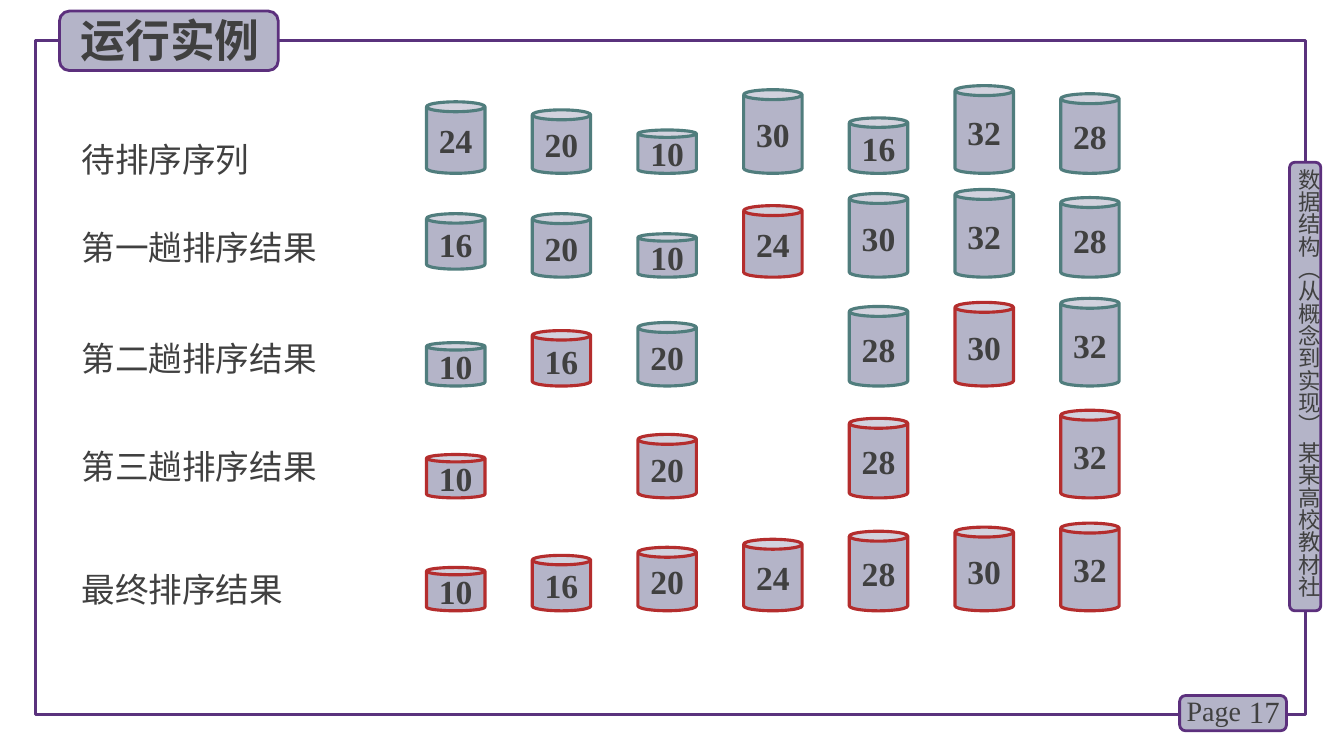
"""Build the slide that shows quicksort passes as rows of cylinders."""
import lxml.etree
import pptx
import pptx.dml.color
import pptx.enum.shapes
import pptx.enum.text
import pptx.oxml.ns
import pptx.util

Inches = pptx.util.Inches
SHAPES = pptx.enum.shapes.MSO_SHAPE
ALIGN = pptx.enum.text.PP_ALIGN
CJK_FONT = "Noto Sans CJK SC"
LATIN_FONT = "Times New Roman"
LILAC, PURPLE, FRAME_PURPLE = "B4B4C8", "5C307D", "5A327D"
TEAL, RED, GREY = "507D7D", "B42D2D", "404040"

deck = pptx.Presentation()
deck.slide_width, deck.slide_height = Inches(13.33), Inches(7.5)
page = deck.slides.add_slide(deck.slide_layouts[6])


def add_outlined(kind, place, line, fill=LILAC, weight=2):
    shape = page.shapes.add_shape(kind, *map(Inches, place))
    shape.shadow.inherit = False
    if fill:
        shape.fill.solid()
        shape.fill.fore_color.rgb = pptx.dml.color.RGBColor.from_string(fill)
    else:
        shape.fill.background()
    shape.line.color.rgb = pptx.dml.color.RGBColor.from_string(line)
    shape.line.width = pptx.util.Pt(weight)
    return shape


def write(text, place=None, box=None, size=24, font=CJK_FONT, bold=False,
          align=ALIGN.LEFT, wrap=True):
    box = box or page.shapes.add_textbox(*map(Inches, place))
    frame = box.text_frame
    frame.word_wrap = wrap
    frame.vertical_anchor = pptx.enum.text.MSO_ANCHOR.MIDDLE
    para = frame.paragraphs[0]
    para.alignment = align
    span = para.add_run()
    span.text = text
    span.font.size = pptx.util.Pt(size)
    span.font.bold = bold
    span.font.name = font
    span.font.color.rgb = pptx.dml.color.RGBColor.from_string(GREY)
    east_asian = lxml.etree.SubElement(span.font._element, pptx.oxml.ns.qn("a:ea"))
    east_asian.set("typeface", CJK_FONT)
    return box


add_outlined(SHAPES.RECTANGLE, (0.35, 0.4, 12.6, 6.69), FRAME_PURPLE, fill=None, weight=2.25)
for tab_place in [(12.79, 1.61, 0.31, 4.45), (11.7, 6.9, 1.06, 0.35), (0.59, 0.11, 2.17, 0.59)]:
    add_outlined(SHAPES.ROUNDED_RECTANGLE, tab_place, PURPLE)

side = write("数据结构（从概念到实现） 某某高校教材社", (12.85, 1.67, 0.27, 4.49), size=16)
side_frame = side.text_frame
side_frame.vertical_anchor = pptx.enum.text.MSO_ANCHOR.TOP
side_frame.margin_left = side_frame.margin_right = 0
side_frame.margin_top = side_frame.margin_bottom = 0
side.element.txBody.bodyPr.set("vert", "eaVert")

write("17", (12.2, 6.86, 0.59, 0.4), size=22, font=LATIN_FONT, align=ALIGN.RIGHT)
write("Page", (11.67, 6.83, 0.78, 0.44), size=20, font=LATIN_FONT)
write("运行实例", (0.7, 0.07, 2.12, 0.64), size=32, bold=True)

everything = {10, 16, 20, 24, 28, 30, 32}
passes = [
    ("待排序序列", 1.33, 2.06, 1.72, [24, 20, 10, 30, 16, 32, 28], set()),
    ("第一趟排序结果", 2.2, 2.75, 2.75, [16, 20, 10, 24, 30, 32, 28], {24}),
    ("第二趟排序结果", 3.3, 2.75, 3.83, [10, 16, 20, None, 28, 30, 32], {16, 30}),
    ("第三趟排序结果", 4.37, 2.93, 4.94, [10, None, 20, None, 28, None, 32], everything),
    ("最终排序结果", 5.59, 2.93, 6.06, [10, 16, 20, 24, 28, 30, 32], everything),
]
raised = {("第一趟排序结果", 16): 0.08}
first_left, last_left = 4.23, 10.52
column_step = (last_left - first_left) / 6

for label, label_top, label_width, baseline, values, settled in passes:
    write(label, (0.71, label_top, label_width, 0.5))
    for column, value in enumerate(values):
        if value is None:
            continue
        height = 0.23 + 0.02 * value
        top = baseline - height - raised.get((label, value), 0)
        can = add_outlined(SHAPES.CAN, (first_left + column * column_step, top, 0.58, height),
                           RED if value in settled else TEAL, weight=2.25)
        can.adjustments[0] = 0.17
        write(str(value), box=can, font=LATIN_FONT, bold=True, align=ALIGN.CENTER, wrap=False)

deck.save("out.pptx")
